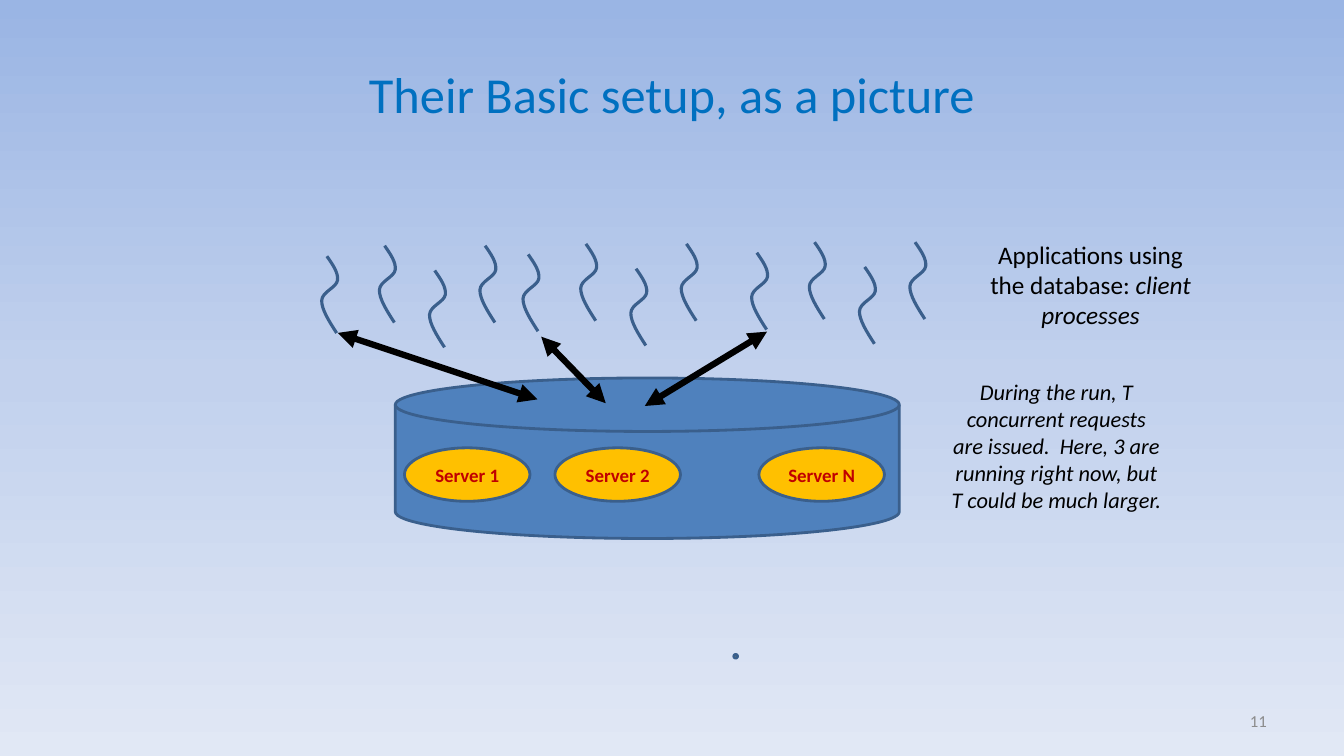
from copy import deepcopy
from dataclasses import dataclass

from lxml import etree
from pptx import Presentation
from pptx.dml.color import RGBColor
from pptx.enum import shapes, text
from pptx.oxml import ns
from pptx.util import Pt


@dataclass(frozen=True)
class Theme:
    font: str = "Calibri"
    sky: tuple = ("9AB5E4", "C2D1ED", "E1E8F5")
    title: str = "0070C0"
    ink: str = "000000"
    muted: str = "8C8C8C"
    outline: str = "3A5F8C"
    database: str = "4F81BD"
    server: str = "FFC000"
    server_text: str = "C00000"
    title_size: float = 36
    label_size: float = 18
    note_size: float = 16
    server_size: float = 13.5
    number_size: float = 12


THEME = Theme()
CENTER = text.PP_ALIGN.CENTER

# Client squiggles: three clusters of four, each drawn from one curve
CLUSTERS = [(233.5, 183), (377.3, 181.7), (540.6, 180.5)]
OFFSETS = [(0, 0), (41.2, -7.5), (77, 10.2), (113, -7.5)]
SQUIGGLE = [
    (4.1, 5.9), (8.3, 11.8), (7.6, 17.2),
    (6.9, 22.5), (-3.5, 25.4), (-3.7, 31.7),
    (-3.8, 38), (1.5, 46.4), (7, 54.9),
]

REQUESTS = [
    ((241.3, 237.8), (383.9, 285.3)),
    ((547.9, 236.9), (460.6, 290)),
    ((386.6, 240.5), (432.7, 288)),
]
SERVERS = [("Server 1", 288.9), ("Server 2", 396.4), ("Server N", 542.1)]


def rgb(color):
    return RGBColor.from_string(color)


def paint_background(page):
    fill = page.background.fill
    fill.gradient()
    fill.gradient_angle = 270
    stop_list = page.element.find(".//" + ns.qn("a:gsLst"))
    stop_list.insert(1, deepcopy(stop_list[0]))
    for index, (stop, color) in enumerate(zip(fill.gradient_stops, THEME.sky)):
        stop.position = index / 2
        stop.color.rgb = rgb(color)


def write(box, spans, size, color, align=CENTER, bold=False,
          anchor=text.MSO_ANCHOR.MIDDLE):
    """Fill a box with one paragraph of (words, italic) spans."""
    frame = box.text_frame
    frame.word_wrap = True
    frame.vertical_anchor = anchor
    para = frame.paragraphs[0]
    para.alignment = align
    for words, italic in spans:
        span = para.add_run()
        span.text = words
        font = span.font
        font.name, font.size = THEME.font, Pt(size)
        font.bold, font.italic = bold, italic
        font.color.rgb = rgb(color)


def add_text(page, left, top, width, height, spans, size, color, **style):
    box = page.shapes.add_textbox(Pt(left), Pt(top), Pt(width), Pt(height))
    write(box, spans, size, color, **style)


def set_outline(shape, width):
    shape.shadow.inherit = False
    shape.line.color.rgb = rgb(THEME.outline)
    shape.line.width = Pt(width)


def add_solid(page, kind, left, top, width, height, color):
    shape = page.shapes.add_shape(kind, Pt(left), Pt(top), Pt(width), Pt(height))
    shape.fill.solid()
    shape.fill.fore_color.rgb = rgb(color)
    set_outline(shape, 2)
    return shape


def add_server(page, name, left):
    oval = add_solid(page, shapes.MSO_SHAPE.OVAL, left, 319.9, 89.7, 38.2, THEME.server)
    frame = oval.text_frame
    frame.margin_left = frame.margin_right = Pt(0)
    frame.margin_top = frame.margin_bottom = Pt(0)
    write(oval, [(name, False)], THEME.server_size, THEME.server_text, bold=True)


def add_squiggle(page, left, top):
    builder = page.shapes.build_freeform(Pt(left), Pt(top))
    builder.add_line_segments(
        [(Pt(left + x), Pt(top + y)) for x, y in SQUIGGLE], close=False)
    squiggle = builder.convert_to_shape()
    squiggle.fill.background()
    set_outline(squiggle, 2.25)

    # Join every three segments into one cubic curve
    segments = list(squiggle.element.iter(ns.qn("a:lnTo")))
    outline = segments[0].getparent()
    for first in range(0, len(segments), 3):
        curve = etree.SubElement(outline, ns.qn("a:cubicBezTo"))
        for segment in segments[first:first + 3]:
            curve.append(segment[0])
            outline.remove(segment)


def add_request(page, client, database):
    arrow = page.shapes.add_connector(
        shapes.MSO_CONNECTOR.STRAIGHT, *(Pt(v) for v in client + database))
    arrow.line.color.rgb = rgb(THEME.ink)
    arrow.line.width = Pt(4.5)
    properties = arrow.element.spPr
    line = properties.find(ns.qn("a:ln"))
    for end in ("a:headEnd", "a:tailEnd"):
        etree.SubElement(line, ns.qn(end), type="triangle")
    etree.SubElement(properties, ns.qn("a:effectLst"))


def main():
    deck = Presentation()
    deck.slide_width, deck.slide_height = Pt(960), Pt(540)
    page = deck.slides.add_slide(deck.slide_layouts[6])
    paint_background(page)

    # Title and page number
    add_text(page, 48, 21.6, 864, 90, [("Their Basic setup, as a picture", False)],
             THEME.title_size, THEME.title)
    add_text(page, 688, 500.5, 224, 28.75, [("11", False)],
             THEME.number_size, THEME.muted, align=text.PP_ALIGN.RIGHT)

    # Database
    add_solid(page, shapes.MSO_SHAPE.OVAL, 524.2, 467.5, 2.6, 2.6, THEME.server)
    add_solid(page, shapes.MSO_SHAPE.FLOWCHART_MAGNETIC_DISK,
              282.4, 270, 360, 114.7, THEME.database)

    # Clients
    for left, top in CLUSTERS:
        for across, down in OFFSETS:
            add_squiggle(page, left + across, top + down)
    add_text(page, 699, 167.3, 160, 72.7,
             [("Applications using the database: ", False), ("client processes", True)],
             THEME.label_size, THEME.ink, anchor=text.MSO_ANCHOR.TOP)

    # Requests in flight
    for client, database in REQUESTS:
        add_request(page, client, database)
    add_text(page, 671.4, 266.8, 166.3, 104.4,
             [("During the run, T concurrent requests are issued.  Here, 3 are "
               "running right now, but T could be much larger.", True)],
             THEME.note_size, THEME.ink, anchor=text.MSO_ANCHOR.TOP)

    # Servers
    for name, left in SERVERS:
        add_server(page, name, left)

    deck.save("out.pptx")


if __name__ == "__main__":
    main()
